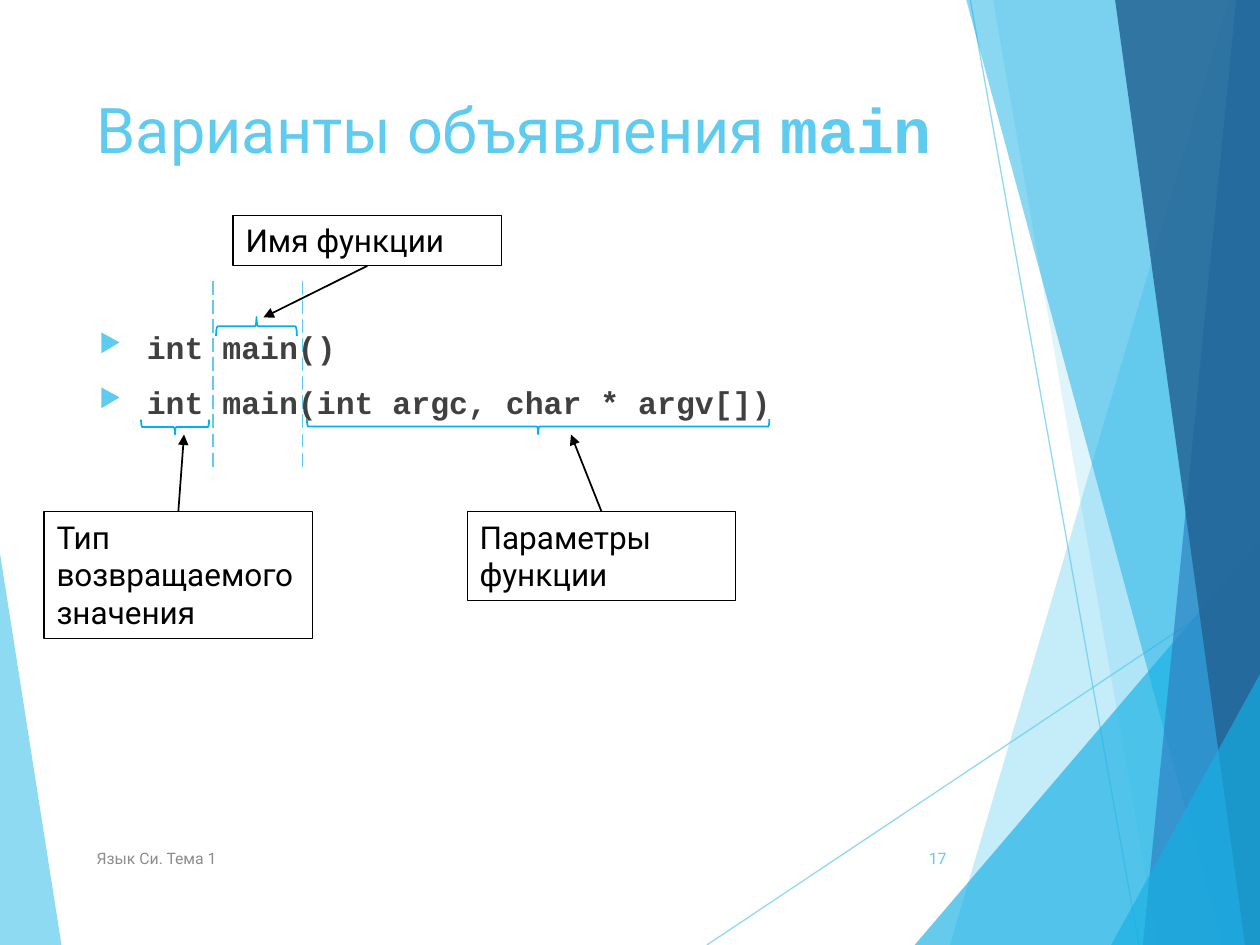
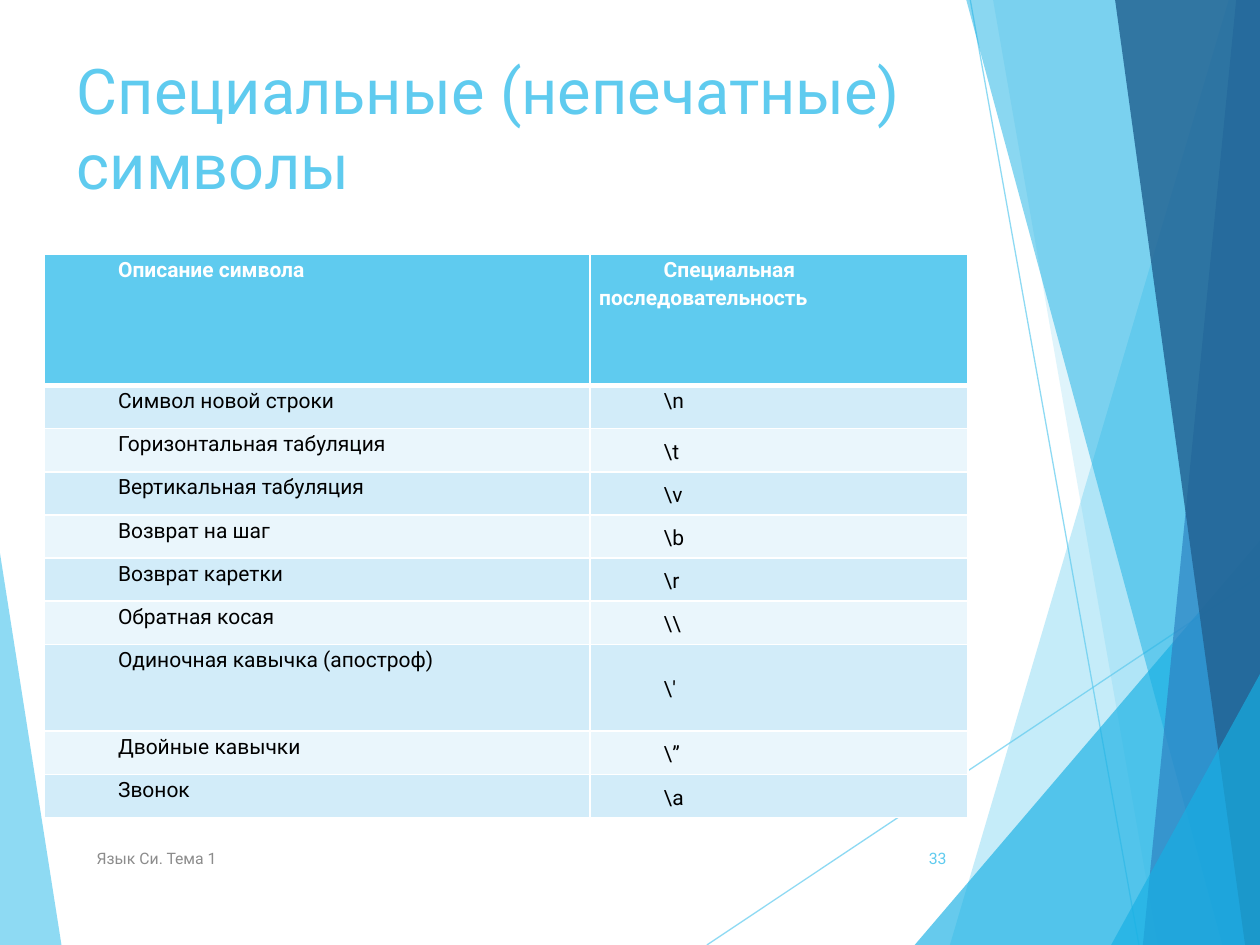
from dataclasses import dataclass

from lxml import etree
from pptx import Presentation, util as u
from pptx.dml.color import RGBColor
from pptx.enum import dml, shapes, text
from pptx.oxml.ns import qn


@dataclass(frozen=True)
class Theme:
    sky: str = "5FCBEF"
    cyan: str = "17B0E4"
    blue: str = "2E83C3"
    navy: str = "226292"
    brace: str = "00B0F0"
    black: str = "000000"
    white: str = "FFFFFF"
    code_ink: str = "404040"
    footer_ink: str = "8C8C8C"
    bands: tuple = ("D2ECF9", "EAF6FC")
    sans: str = "Roboto"
    mono: str = "Courier New"
    title_size: int = 36
    body_size: int = 18
    table_size: int = 12
    footer_size: int = 9


theme = Theme()
WIDTH, HEIGHT = 25.4, 19.05


def write(para, content, size, color, font=theme.sans, bold=False):
    para.add_run().text = content
    para.font.size = u.Pt(size)
    para.font.color.rgb = RGBColor.from_string(color)
    para.font.name = font
    para.font.bold = bold


def draw_line(page, start, end, color, width):
    """Add a shadowless straight connector between two points in cm."""
    ends = [u.Cm(value) for value in (*start, *end)]
    line = page.shapes.add_connector(shapes.MSO_CONNECTOR.STRAIGHT, *ends)
    line.line.color.rgb = RGBColor.from_string(color)
    line.line.width = u.Pt(width)
    etree.SubElement(line._element.spPr, qn("a:effectLst"))
    return line


deck = Presentation()
deck.slide_width, deck.slide_height = u.Cm(WIDTH), u.Cm(HEIGHT)

# Backdrop facets: colour, opacity in percent, corners; two corners make a line
facets = [
    (theme.sky, 70, [(0, 11.15), (1.24, HEIGHT), (0, HEIGHT)]),
    (theme.sky, 70, [(14.25, HEIGHT), (WIDTH, 11.61)]),
    (theme.sky, 70, [(19.56, 0), (22.96, HEIGHT)]),
    (theme.sky, 36, [(24.77, 0), (19.15, HEIGHT), (WIDTH, HEIGHT), (WIDTH, 0)]),
    (theme.sky, 20, [(20.02, 0), (23.34, HEIGHT), (WIDTH, HEIGHT), (WIDTH, 0)]),
    (theme.cyan, 66, [(18.44, HEIGHT), (WIDTH, 10.9), (WIDTH, HEIGHT)]),
    (theme.cyan, 50, [(19.48, 0), (24.64, HEIGHT), (WIDTH, HEIGHT), (WIDTH, 0)]),
    (theme.blue, 70, [(24.92, 0), (23.04, HEIGHT), (WIDTH, HEIGHT), (WIDTH, 0)]),
    (theme.navy, 82, [(22.48, 0), (25.1, HEIGHT), (WIDTH, HEIGHT), (WIDTH, 0)]),
    (theme.cyan, 66, [(22.4, HEIGHT), (WIDTH, 13.59), (WIDTH, HEIGHT)]),
]

# Title text, its code word, its left and top, page number
headings = [
    ("Варианты объявления ", "main", 1.7, 1.7, "17"),
    ("Специальные (непечатные) символы", "", 1.3, 0.91, "33"),
]

for title, code_word, title_left, title_top, number in headings:
    page = deck.slides.add_slide(deck.slide_layouts[6])

    for color, opacity, corners in facets:
        if len(corners) == 2:
            facet = draw_line(page, *corners, color, 0.75)
        else:
            points = [(u.Cm(x), u.Cm(y)) for x, y in corners]
            outline = page.shapes.build_freeform(*points[0])
            outline.add_line_segments(points[1:])
            facet = outline.convert_to_shape()
            facet.shadow.inherit = False
            facet.fill.solid()
            facet.fill.fore_color.rgb = RGBColor.from_string(color)
            facet.line.fill.background()
        tint = facet._element.spPr.find(".//" + qn("a:srgbClr"))
        etree.SubElement(tint, qn("a:alpha"), val=str(opacity * 1000))

    page_texts = [
        (title, (title_left, title_top, 17.63, 3.66), theme.title_size,
         theme.sky, text.MSO_ANCHOR.TOP, text.PP_ALIGN.LEFT),
        ("Язык Си. Тема 1", (1.7, 16.79, 12.85, 1.02), theme.footer_size,
         theme.footer_ink, text.MSO_ANCHOR.MIDDLE, text.PP_ALIGN.LEFT),
        (number, (17.91, 16.79, 1.42, 1.02), theme.footer_size,
         theme.sky, text.MSO_ANCHOR.MIDDLE, text.PP_ALIGN.RIGHT),
    ]
    for content, area, size, color, anchor, align in page_texts:
        box = page.shapes.add_textbox(*map(u.Cm, area))
        box.text_frame.word_wrap = True
        box.text_frame.vertical_anchor = anchor
        para = box.text_frame.paragraphs[0]
        para.alignment = align
        write(para, content, size, color)
        if content == title and code_word:
            span = para.add_run()
            span.text = code_word
            span.font.name = theme.mono
            span.font.bold = True

main_page, symbols_page = deck.slides

# Declarations of main
body = main_page.shapes.add_textbox(*map(u.Cm, (1.75, 6.48, 17.63, 2.77)))
body.text_frame.word_wrap = True
for index, declaration in enumerate(["int main()", "int main(int argc, char * argv[])"]):
    para = body.text_frame.add_paragraph() if index else body.text_frame.paragraphs[0]
    properties = para._p.get_or_add_pPr()
    properties.set("marL", str(u.Cm(0.96)))
    properties.set("indent", str(u.Cm(-0.96)))
    bullet_color = etree.SubElement(properties, qn("a:buClr"))
    etree.SubElement(bullet_color, qn("a:srgbClr"), val=theme.sky)
    etree.SubElement(properties, qn("a:buSzPct"), val="80000")
    etree.SubElement(properties, qn("a:buChar"), char="▶")
    if index:
        para.space_before = u.Pt(10)
    write(para, declaration, theme.body_size, theme.code_ink, theme.mono, True)

# Labels: text, left, top, height, side the arrow leaves from, arrow tip
BOTTOM, TOP = 2, 0
LABEL_WIDTH = 5.41
labels = [
    ("Тип возвращаемого значения", 0.89, 10.31, 2.57, TOP, (3.71, 8.76)),
    ("Имя функции", 4.7, 4.34, 1.02, BOTTOM, (5.31, 6.4)),
    ("Параметры функции", 9.42, 10.31, 1.8, TOP, (11.51, 8.76)),
]
for content, left, top, height, side, tip in labels:
    label = main_page.shapes.add_shape(
        shapes.MSO_SHAPE.RECTANGLE, *map(u.Cm, (left, top, LABEL_WIDTH, height)))
    label.shadow.inherit = False
    label.fill.background()
    label.line.color.rgb = RGBColor.from_string(theme.black)
    label.line.width = u.Pt(0.75)
    label.text_frame.word_wrap = True
    label.text_frame.auto_size = text.MSO_AUTO_SIZE.SHAPE_TO_FIT_TEXT
    label.text_frame.vertical_anchor = text.MSO_ANCHOR.TOP
    para = label.text_frame.paragraphs[0]
    para.alignment = text.PP_ALIGN.LEFT
    write(para, content, theme.body_size, theme.black)

    arrow = draw_line(main_page, (left, top), tip, theme.black, 1)
    arrow.begin_connect(label, side)
    etree.SubElement(arrow._element.spPr.find(qn("a:ln")), qn("a:tailEnd"), type="triangle")

# Braces: centre, depth, span, rotation
braces = [
    (3.53, 8.61, 0.3, 1.37, 270),
    (10.85, 8.6, 0.3, 9.32, 270),
    (5.17, 6.58, 0.38, 1.63, 90),
]
for center_x, center_y, depth, extent, rotation in braces:
    area = (center_x - depth / 2, center_y - extent / 2, depth, extent)
    brace = main_page.shapes.add_shape(shapes.MSO_SHAPE.LEFT_BRACE, *map(u.Cm, area))
    brace.rotation = rotation
    brace.shadow.inherit = False
    brace.fill.background()
    brace.line.color.rgb = RGBColor.from_string(theme.brace)
    brace.line.width = u.Pt(1)

for x in (4.29, 6.1):
    divider = draw_line(main_page, (x, 5.66), (x, 9.45), theme.sky, 1)
    divider.line.dash_style = dml.MSO_LINE.LONG_DASH

# Escape sequences
symbols = [
    ("Описание символа", "Специальная последовательность"),
    ("Символ новой строки", r"\n"),
    ("Горизонтальная табуляция", r"\t"),
    ("Вертикальная табуляция", r"\v"),
    ("Возврат на шаг", r"\b"),
    ("Возврат каретки", r"\r"),
    ("Обратная косая", r"\\"),
    ("Одиночная кавычка (апостроф)", r"\'"),
    ("Двойные кавычки", r"\”"),
    ("Звонок", r"\a"),
]
ROW_HEIGHT = 0.87
tall_rows = {0: 2.64, 7: 1.75}
heights = [tall_rows.get(index, ROW_HEIGHT) for index in range(len(symbols))]
table = symbols_page.shapes.add_table(
    len(symbols), 2, *map(u.Cm, (0.89, 5.13, 18.62, sum(heights)))).table
table.horz_banding = False
table.columns[0].width, table.columns[1].width = u.Cm(11), u.Cm(7.62)

for row, entries in enumerate(symbols):
    table.rows[row].height = u.Cm(heights[row])
    header = row == 0
    for column, content in enumerate(entries):
        cell = table.cell(row, column)
        cell.margin_left = cell.margin_right = u.Cm(0.19)
        cell.margin_top = cell.margin_bottom = 0
        if column == 1 and row > 1:
            cell.vertical_anchor = text.MSO_ANCHOR.MIDDLE

        thick_edge = {0: "lnB", 1: "lnT"}.get(row)
        for edge in ("lnL", "lnR", "lnT", "lnB"):
            width = u.Pt(3 if edge == thick_edge else 1)
            border = etree.SubElement(cell._tc.get_or_add_tcPr(), qn("a:" + edge), w=str(width))
            paint = etree.SubElement(border, qn("a:solidFill"))
            etree.SubElement(paint, qn("a:srgbClr"), val=theme.white)
        cell.fill.solid()
        cell.fill.fore_color.rgb = RGBColor.from_string(
            theme.sky if header else theme.bands[(row - 1) % 2])

        para = cell.text_frame.paragraphs[0]
        para._p.get_or_add_pPr().set("indent", str(u.Cm(1.3)))
        para.alignment = text.PP_ALIGN.JUSTIFY
        para.line_spacing = 1.15
        write(para, content, theme.table_size,
              theme.white if header else theme.black, bold=header)

deck.save("out.pptx")
